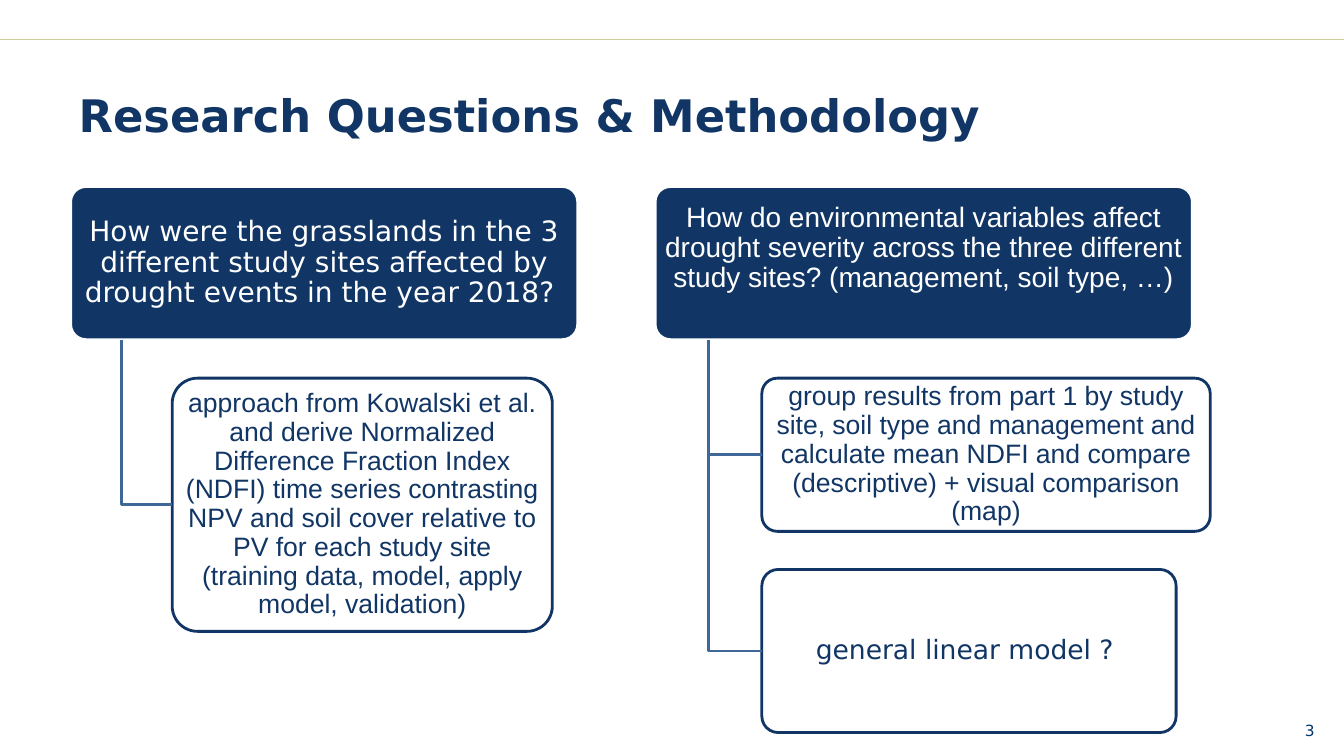
import pptx
import pptx.util
import pptx.dml.color
import pptx.enum.shapes
import pptx.enum.text
import pptx.oxml.ns
import lxml.etree

Cm = pptx.util.Cm
Align = pptx.enum.text.PP_ALIGN


def color(hex_code):
    return pptx.dml.color.RGBColor.from_string(hex_code)


class Deck:
    navy, white, branch, rule, number = "113665", "FFFFFF", "3F6797", "CCCC99", "00376C"
    display, body = "DejaVu Sans", "Arial"

    def __init__(self, width, height):
        self.file = pptx.Presentation()
        self.file.slide_width, self.file.slide_height = Cm(width), Cm(height)
        self.slide = self.file.slides.add_slide(self.file.slide_layouts[6])
        self.shapes = self.slide.shapes

    def set_text(self, shape, text, size, font, hex_code, align, bold=False):
        frame = shape.text_frame
        frame.word_wrap = True
        frame.vertical_anchor = pptx.enum.text.MSO_ANCHOR.MIDDLE
        frame.text = text
        paragraph = frame.paragraphs[0]
        paragraph.alignment = align
        paragraph.font.size = pptx.util.Pt(size)
        paragraph.font.name = font
        paragraph.font.bold = bold
        paragraph.font.color.rgb = color(hex_code)
        return frame

    def outline(self, shape, hex_code, width):
        shape.line.color.rgb = color(hex_code)
        shape.line.width = pptx.util.Pt(width)

    def label(self, text, left, top, width, height, size, hex_code, align, bold=False):
        box = self.shapes.add_textbox(Cm(left), Cm(top), Cm(width), Cm(height))
        self.set_text(box, text, size, self.display, hex_code, align, bold)

    def separator(self, top):
        line = self.shapes.add_connector(
            pptx.enum.shapes.MSO_CONNECTOR.STRAIGHT, 0, Cm(top), self.file.slide_width, Cm(top))
        self.outline(line, self.rule, 1)
        lxml.etree.SubElement(line._element.spPr, pptx.oxml.ns.qn("a:effectLst"))

    def card(self, text, left, top, width, height, font, size, fill, edge, ink, bottom=0.08):
        card = self.shapes.add_shape(
            pptx.enum.shapes.MSO_SHAPE.ROUNDED_RECTANGLE, Cm(left), Cm(top), Cm(width), Cm(height))
        card.adjustments[0] = 0.1
        card.shadow.inherit = False
        card.fill.solid()
        card.fill.fore_color.rgb = color(fill)
        self.outline(card, edge, 2)
        frame = self.set_text(card, text, size, font, ink, Align.CENTER)
        frame.margin_left = frame.margin_right = Cm(0.1)
        frame.margin_top, frame.margin_bottom = Cm(0.08), Cm(bottom)
        frame.paragraphs[0].line_spacing = 0.9
        return card

    def question(self, text, left, width, font, bottom=0.08):
        return self.card(text, left, 4.7, width, 3.86, font, 20,
                         self.navy, self.white, self.white, bottom)

    def method(self, question, text, left, top, width, height, font):
        answer = self.card(text, left, top, width, height, font, 19,
                           self.white, self.navy, self.navy)
        stem = question.left + question.width // 10
        middle = answer.top + answer.height // 2
        builder = self.shapes.build_freeform(stem, question.top + question.height)
        builder.add_line_segments([(stem, middle), (answer.left, middle)], close=False)
        elbow = builder.convert_to_shape()
        elbow.shadow.inherit = False
        elbow.fill.background()
        self.outline(elbow, self.branch, 2)


deck = Deck(33.87, 19.05)
deck.separator(1)
deck.label("3", 30.99, 18.03, 2.39, 0.74, 11, deck.number, Align.RIGHT)
deck.label("Research Questions & Methodology", 1.73, 2.03, 29.21, 1.7, 32,
           deck.navy, Align.LEFT, bold=True)

drought = deck.question(
    "How were the grasslands in the 3 different study sites affected by "
    "drought events in the year 2018? ", 1.78, 12.78, deck.display)
deck.method(
    drought,
    "approach from Kowalski et al. and derive Normalized Difference Fraction Index (NDFI) "
    "time series contrasting NPV and soil cover relative to PV for each study site "
    "(training data, model, apply model, validation)",
    4.34, 9.53, 9.58, 6.38, deck.body)

environment = deck.question(
    "How do environmental variables affect drought severity across the three different "
    "study sites? (management, soil type, …)", 16.51, 13.54, deck.body, bottom=0.82)
deck.method(
    environment,
    "group results from part 1 by study site, soil type and management and calculate "
    "mean NDFI and compare (descriptive) + visual comparison (map)",
    19.2, 9.53, 11.3, 3.86, deck.body)
deck.method(environment, "general linear model ? ", 19.2, 14.35, 10.44, 4.11, deck.display)

deck.file.save("out.pptx")
